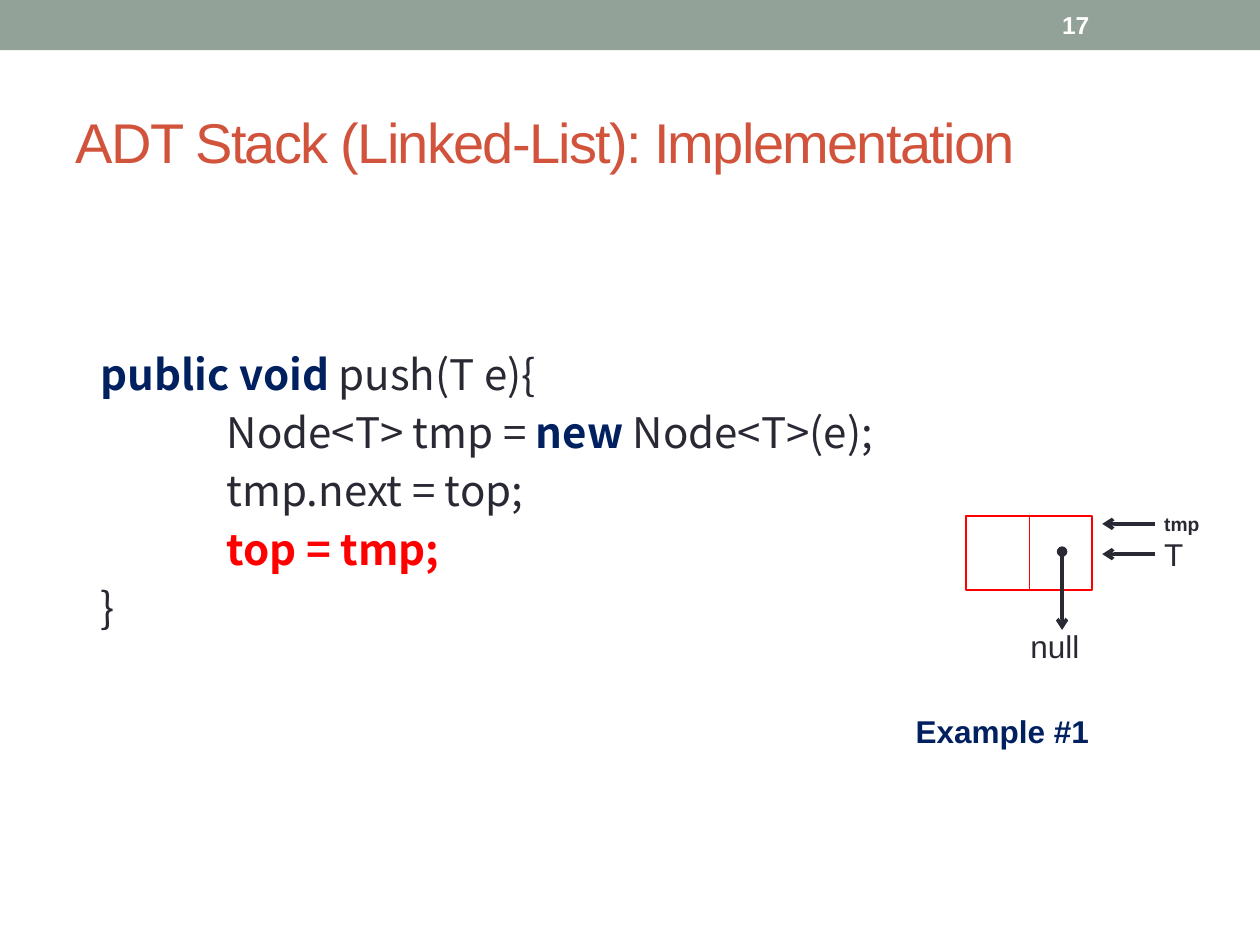
from lxml.etree import SubElement
from pptx import Presentation
from pptx.dml.color import RGBColor
from pptx.enum.shapes import MSO_CONNECTOR, MSO_SHAPE
from pptx.enum.text import MSO_ANCHOR as Anchor, PP_ALIGN as Align
from pptx.oxml.ns import qn
from pptx.util import Cm, Pt

COLORS = {
    "band": "93A299", "title": "D2533C", "text": "292934",
    "keyword": "002060", "accent": "FF0000", "white": "FFFFFF",
}
CODE = [
    (0, [("public void ", "keyword"), ("push(T e){", "text")]),
    (1, [("Node<T> tmp = ", "text"), ("new ", "keyword"), ("Node<T>(e);", "text")]),
    (1, [("tmp.next = top;", "text")]),
    (1, [("top = tmp;", "accent")]),
    (0, [("}", "text")]),
]


def color(name):
    """Return the named colour."""
    return RGBColor.from_string(COLORS[name])


def style(font, size, name, bold=False, face="Arial"):
    """Set size, colour, weight and face of a font."""
    font.size, font.bold, font.name = Pt(size), bold, face
    font.color.rgb = color(name)


def add_label(page, text, left, top, width, height, size, name="text", bold=False):
    """Add a one-line label and return its text frame."""
    frame = page.shapes.add_textbox(Cm(left), Cm(top), Cm(width), Cm(height)).text_frame
    frame.word_wrap = False
    para = frame.paragraphs[0]
    para.text = text
    style(para.font, size, name, bold)
    return frame


def add_rectangle(page, left, top, width, height, fill, line=None):
    """Add a flat rectangle, outlined when a line colour is given."""
    box = page.shapes.add_shape(
        MSO_SHAPE.RECTANGLE, Cm(left), Cm(top), Cm(width), Cm(height))
    box.shadow.inherit = False
    box.fill.solid()
    box.fill.fore_color.rgb = color(fill)
    if line:
        box.line.color.rgb = color(line)
        box.line.width = Pt(1.25)
    else:
        box.line.fill.background()
    return box


def add_line(page, start, end, name="text", width=2, head=None, tail=None):
    """Add a straight connector with optional end marks."""
    line = page.shapes.add_connector(
        MSO_CONNECTOR.STRAIGHT, *(Cm(value) for value in (*start, *end)))
    line.line.color.rgb = color(name)
    line.line.width = Pt(width)
    outline = line.line._get_or_add_ln()
    for tag, mark in (("a:headEnd", head), ("a:tailEnd", tail)):
        if mark:
            SubElement(outline, qn(tag), type=mark)
    SubElement(line._element.spPr, qn("a:effectLst"))
    return line


def add_header(page, width, height):
    """Draw the top band with the page number."""
    add_rectangle(page, 0, 0, width, height, "band")
    frame = add_label(page, "17", width - 4.24, 0.05, 2.97, 0.91, 14, "white", True)
    frame.vertical_anchor = Anchor.MIDDLE


def add_title(page, left, top, width, height):
    """Place and format the title placeholder."""
    title = page.shapes.title
    title.left, title.top, title.width, title.height = map(Cm, (left, top, width, height))
    frame = title.text_frame
    frame.text = "ADT Stack (Linked-List): Implementation"
    frame.vertical_anchor = Anchor.MIDDLE
    para = frame.paragraphs[0]
    para.alignment = Align.LEFT
    style(para.font, 32, "title")
    para.runs[0].font._element.set("spc", "-100")


def add_code(page, left, top, width, height):
    """Write the push method with indented lines."""
    frame = page.shapes.add_textbox(Cm(left), Cm(top), Cm(width), Cm(height)).text_frame
    frame.word_wrap = True
    for index, (level, spans) in enumerate(CODE):
        para = frame.add_paragraph() if index else frame.paragraphs[0]
        para.line_spacing = Pt(33.4)
        para._p.get_or_add_pPr().set("marL", str(Cm(2.54 * level)))
        for text, name in spans:
            span = para.add_run()
            span.text = text
            style(span.font, 24, name, name != "text", "Noto Sans CJK SC")


def add_node(page, left, top, width, height):
    """Draw the list node with its pointers and labels."""
    right, middle = left + width, left + width / 2
    node = add_rectangle(page, left, top, width, height, "white", "accent")
    divider = add_line(page, (middle, top), (middle, top + height), "accent", 0.75)
    divider.begin_connect(node, 0)
    divider.end_connect(node, 2)
    pointer = left + 0.76 * width
    add_line(page, (pointer, top + 0.71), (pointer, top + 2.29), head="oval", tail="arrow")
    for offset in (0.15, 0.76):
        add_line(page, (right + 1.27, top + offset), (right + 0.2, top + offset), tail="arrow")
    add_label(page, "tmp", right + 1.2, top - 0.2, 1.27, 0.73, 11, bold=True)
    add_label(page, "T", right + 1.2, top + 0.25, 0.92, 1.03, 18)
    add_label(page, "null", left + 1.04, top + 2.11, 1.67, 1.03, 18)
    add_label(page, "Example #1", left - 1.27, top + 3.81, 4.16, 1.03, 18, "keyword", True)


def main():
    """Build and save the slide."""
    deck = Presentation()
    deck.slide_width, deck.slide_height = Cm(25.4), Cm(19.05)
    page = deck.slides.add_slide(deck.slide_layouts[5])
    add_header(page, 25.4, 1.01)
    add_title(page, 1.27, 1.48, 22.86, 2.74)
    add_code(page, 1.78, 6.73, 22.35, 6.2)
    add_node(page, 19.48, 10.41, 2.54, 1.48)
    deck.save("out.pptx")


if __name__ == "__main__":
    main()
